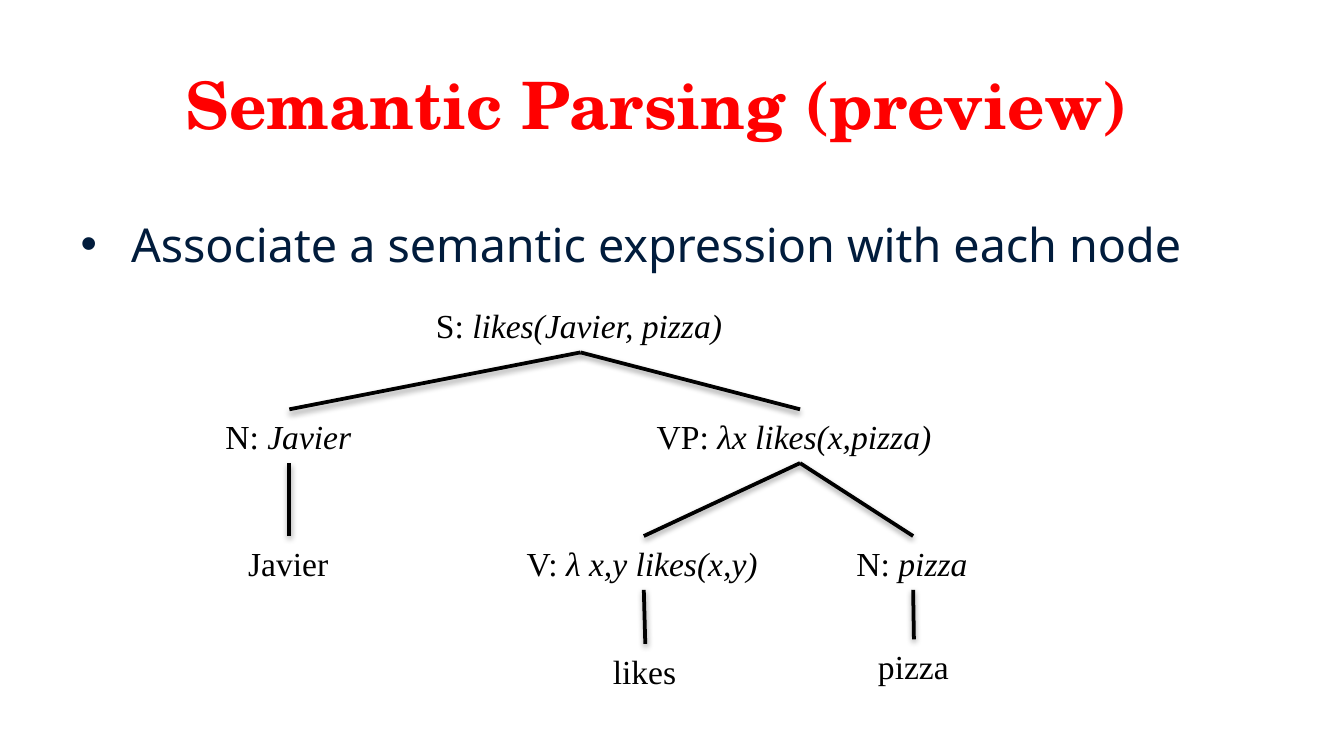
"""Builds a slide with a parse tree annotated with semantic expressions."""
import pptx
import pptx.dml.color
import pptx.enum.shapes
import pptx.enum.text
import pptx.oxml
import pptx.oxml.ns
import pptx.util

Pt = pptx.util.Pt
COLORS = {"title": "FF0000", "body": "011C3C", "tree": "000000"}
NODE_HEIGHT = 28.8
SHADOW = (
    f'<a:effectLst {pptx.oxml.ns.nsdecls("a")}>'
    '<a:outerShdw blurRad="40000" dist="20000" dir="5400000" rotWithShape="0">'
    '<a:srgbClr val="000000"><a:alpha val="38000"/></a:srgbClr>'
    '</a:outerShdw></a:effectLst>'
)


def style_font(font, name, size, color):
    font.name = name
    font.size = Pt(size)
    font.color.rgb = pptx.dml.color.RGBColor.from_string(COLORS[color])


def place(shape, left, top, width, height):
    shape.left, shape.top = Pt(left), Pt(top)
    shape.width, shape.height = Pt(width), Pt(height)
    shape.text_frame.auto_size = pptx.enum.text.MSO_AUTO_SIZE.NONE
    shape.text_frame.vertical_anchor = pptx.enum.text.MSO_ANCHOR.TOP


presentation = pptx.Presentation()
presentation.slide_width = Pt(720)
presentation.slide_height = Pt(405)
slide = presentation.slides.add_slide(presentation.slide_layouts[1])

title = slide.shapes.title
place(title, 20, 31, 664, 55.5)
title.text_frame.text = "Semantic Parsing (preview)"
paragraph = title.text_frame.paragraphs[0]
paragraph.alignment = pptx.enum.text.PP_ALIGN.CENTER
style_font(paragraph.runs[0].font, "TeX Gyre Schola", 35, "title")
paragraph.runs[0].font.bold = True

body = slide.placeholders[1]
place(body, 36, 112, 648, 213)
body.text_frame.text = "Associate a semantic expression with each node"
paragraph = body.text_frame.paragraphs[0]
paragraph.space_before = Pt(0)
properties = paragraph._p.get_or_add_pPr()
properties.set("marL", str(Pt(27)))
properties.set("indent", str(Pt(-27)))
bullet = pptx.oxml.parse_xml(f'<a:buChar {pptx.oxml.ns.nsdecls("a")} char="•"/>')
properties.append(bullet)
style_font(paragraph.runs[0].font, "Noto Sans", 25, "body")

nodes = {
    "sentence": ("S: ", "likes(Javier, pizza)", 311, 160, 169.2, None),
    "subject": ("N: ", "Javier", 155, 219.3, 82.8, "sentence"),
    "verb phrase": ("VP: ", "λx likes(x,pizza)", 428.6, 219.3, 167.8, "sentence"),
    "verb": ("V: ", "λ x,y likes(x,y)", 344.9, 287.2, 139.7, "verb phrase"),
    "object": ("N: ", "pizza", 489.2, 287.2, 74.9, "verb phrase"),
    "subject word": ("Javier", "", 155, 287.2, 58.3, "subject"),
    "verb word": ("likes", "", 345.7, 345, 49, "verb"),
    "object word": ("pizza", "", 489.6, 342.5, 52.6, "object"),
}
boxes = {}
for name, (label, expression, center, top, width, parent) in nodes.items():
    box = slide.shapes.add_textbox(
        Pt(center - width / 2), Pt(top), Pt(width), Pt(NODE_HEIGHT))
    box.text_frame.word_wrap = False
    box.text_frame.auto_size = pptx.enum.text.MSO_AUTO_SIZE.SHAPE_TO_FIT_TEXT
    paragraph = box.text_frame.paragraphs[0]
    for text, italic in ((label, None), (expression, True)):
        if text:
            run = paragraph.add_run()
            run.text = text
            style_font(run.font, "Times New Roman", 18, "tree")
            run.font.italic = italic
    boxes[name] = box
    if parent:
        branch = slide.shapes.add_connector(
            pptx.enum.shapes.MSO_CONNECTOR.STRAIGHT, 0, 0, 0, 0)
        branch.begin_connect(box, 0)
        branch.end_connect(boxes[parent], 2)
        branch.line.width = Pt(2)
        branch.line.color.rgb = pptx.dml.color.RGBColor.from_string(COLORS["tree"])
        branch._element.spPr.append(pptx.oxml.parse_xml(SHADOW))

presentation.save("out.pptx")
